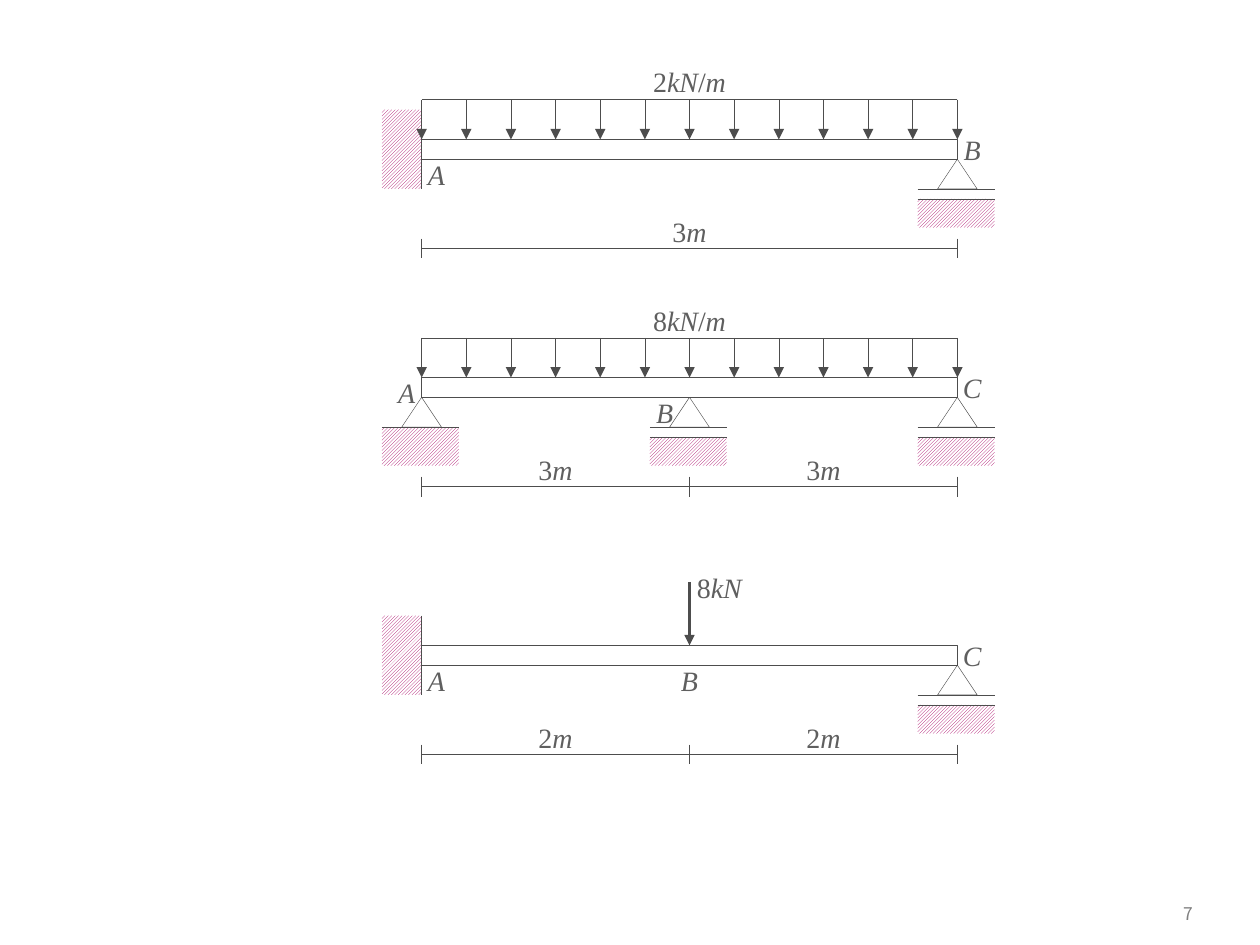
from itertools import groupby, pairwise

from lxml.etree import SubElement
from pptx import Presentation
from pptx.dml.color import RGBColor
from pptx.enum.dml import MSO_PATTERN
from pptx.enum.shapes import MSO_CONNECTOR, MSO_SHAPE
from pptx.enum.text import MSO_ANCHOR, PP_ALIGN
from pptx.oxml.ns import qn
from pptx.util import Cm, Pt

LEFT, MID, RIGHT = 8.5, 13.9, 19.3
DEPTH = 0.4
BAYS = 12


def color(text):
    return RGBColor.from_string(text)


class Board:
    ink, gray, pink, white = "4D4D4D", "5F5F5F", "A90165", "FFFFFF"
    font, size, thin = "Times New Roman", 16, 0.25

    def __init__(self, slide):
        self.slide = slide
        self.shapes = slide.shapes

    def group(self):
        self.shapes = self.slide.shapes.add_group_shape().shapes

    def line(self, x1, y1, x2, y2, width=thin, arrow=False):
        line = self.shapes.add_connector(
            MSO_CONNECTOR.STRAIGHT, Cm(x1), Cm(y1), Cm(x2), Cm(y2))
        line.line.color.rgb = color(self.ink)
        line.line.width = Pt(width)
        if arrow:
            SubElement(line.line._get_or_add_ln(), qn("a:tailEnd"), type="triangle")
        SubElement(line._element.spPr, qn("a:effectLst"))
        return line

    def shape(self, kind, x, y, w, h):
        shape = self.shapes.add_shape(kind, Cm(x), Cm(y), Cm(w), Cm(h))
        shape.shadow.inherit = False
        shape.line.color.rgb = color(self.ink)
        shape.line.width = Pt(self.thin)
        return shape

    def hatch(self, x, y, w, h):
        shape = self.shape(MSO_SHAPE.RECTANGLE, x, y, w, h)
        shape.line.fill.background()
        shape.fill.patterned()
        shape.fill.pattern = MSO_PATTERN.LIGHT_UPWARD_DIAGONAL
        shape.fill.fore_color.rgb = color(self.pink)
        shape.fill.back_color.rgb = color(self.white)
        return shape

    def label(self, text, x, y, w, h, anchor=MSO_ANCHOR.TOP):
        """Centred text with its letters in italics."""
        frame = self.shapes.add_textbox(Cm(x), Cm(y), Cm(w), Cm(h)).text_frame
        frame.word_wrap = True
        frame.vertical_anchor = anchor
        frame.margin_left = frame.margin_right = 0
        frame.margin_top = frame.margin_bottom = 0
        para = frame.paragraphs[0]
        para.alignment = PP_ALIGN.CENTER
        para.font.name = self.font
        para.font.size = Pt(self.size)
        para.font.color.rgb = color(self.gray)
        for italic, part in groupby(text, str.isalpha):
            run = para.add_run()
            run.text = "".join(part)
            run.font.italic = italic

    def node(self, text, x, y, w=0.6, h=0.6):
        self.label(text, x, y, w, h, MSO_ANCHOR.MIDDLE)

    def beam(self, top):
        beam = self.shape(MSO_SHAPE.RECTANGLE, LEFT, top, RIGHT - LEFT, DEPTH)
        beam.fill.solid()
        beam.fill.fore_color.rgb = color(self.white)
        return beam

    def wall(self, top):
        self.hatch(LEFT - 1.2, top - 0.2, 1.6, 0.8).rotation = 90
        self.line(LEFT, top - 0.6, LEFT, top + 1)

    def prop(self, x, top, roller=True):
        """Pinned support, or a roller with a gap above the ground."""
        base = top + 1
        ground = base + 0.2 if roller else base
        self.hatch(x - 0.8, ground, 1.55, base + 0.78 - ground)
        for y in sorted({base, ground}):
            self.line(x - 0.8, y, x + 0.75, y)
        cone = self.shape(MSO_SHAPE.ISOSCELES_TRIANGLE, x - 0.4, top + DEPTH, 0.8, 0.6)
        cone.fill.background()

    def load(self, text, beam, top):
        high = top - 0.8
        self.label(text, MID - 0.8, top - 1.5, 1.6, 0.68)
        self.line(RIGHT, high, LEFT, high)
        for i in range(BAYS + 1):
            x = LEFT + (RIGHT - LEFT) * i / BAYS
            arrow = self.line(x, high, x, top, arrow=True)
            if i == BAYS // 2:
                arrow.end_connect(beam, 0)

    def spans(self, text, top, *marks):
        y = top + 2.2
        self.line(marks[0], y, marks[-1], y)
        for x in marks:
            self.line(x, y - 0.2, x, y + 0.2)
        for a, b in pairwise(marks):
            self.label(text, (a + b) / 2 - 0.5, y - 0.68, 1, 0.68)

    def number(self, text):
        box = self.slide.shapes.add_textbox(Cm(22.5), Cm(18), Cm(1.8), Cm(0.85))
        frame = box.text_frame
        frame.word_wrap = True
        frame.vertical_anchor = MSO_ANCHOR.MIDDLE
        para = frame.paragraphs[0]
        para.text = text
        para.alignment = PP_ALIGN.RIGHT
        para.font.name = "Noto Sans CJK KR"
        para.font.size = Pt(10)
        para.font.color.rgb = color("808080")


def main():
    deck = Presentation()
    deck.slide_width, deck.slide_height = Cm(25.4), Cm(19.05)
    board = Board(deck.slides.add_slide(deck.slide_layouts[6]))
    board.number("7")

    # Fixed beam on a roller, even load
    top = 2.81
    board.group()
    beam = board.beam(top)
    board.node("A", LEFT, top + DEPTH)
    board.node("B", RIGHT, top - 0.2, h=0.8)
    board.prop(RIGHT, top)
    board.wall(top)
    board.spans("3m", top, LEFT, RIGHT)
    board.load("2kN/m", beam, top)

    # Two-span beam, even load
    top = 7.61
    board.group()
    beam = board.beam(top)
    board.node("A", LEFT - 0.6, top)
    board.node("C", RIGHT, top - 0.2, h=0.8)
    board.prop(LEFT, top, roller=False)
    board.prop(MID, top)
    board.prop(RIGHT, top)
    board.node("B", MID - 0.8, top + DEPTH)
    board.spans("3m", top, LEFT, MID, RIGHT)
    board.load("8kN/m", beam, top)

    # Fixed beam on a roller, point load
    top = 13.01
    board.group()
    beam = board.beam(top)
    board.node("A", LEFT, top + DEPTH)
    board.node("B", MID - 0.2, top + DEPTH, w=0.4)
    board.node("C", RIGHT, top - 0.2, h=0.8)
    board.prop(RIGHT, top)
    board.wall(top)
    board.spans("2m", top, LEFT, MID, RIGHT)
    board.label("8kN", MID, top - 1.5, 1.2, 0.68)
    force = board.line(MID, top - 1.28, MID, top, width=1.5, arrow=True)
    force.end_connect(beam, 0)

    deck.save("out.pptx")


if __name__ == "__main__":
    main()
